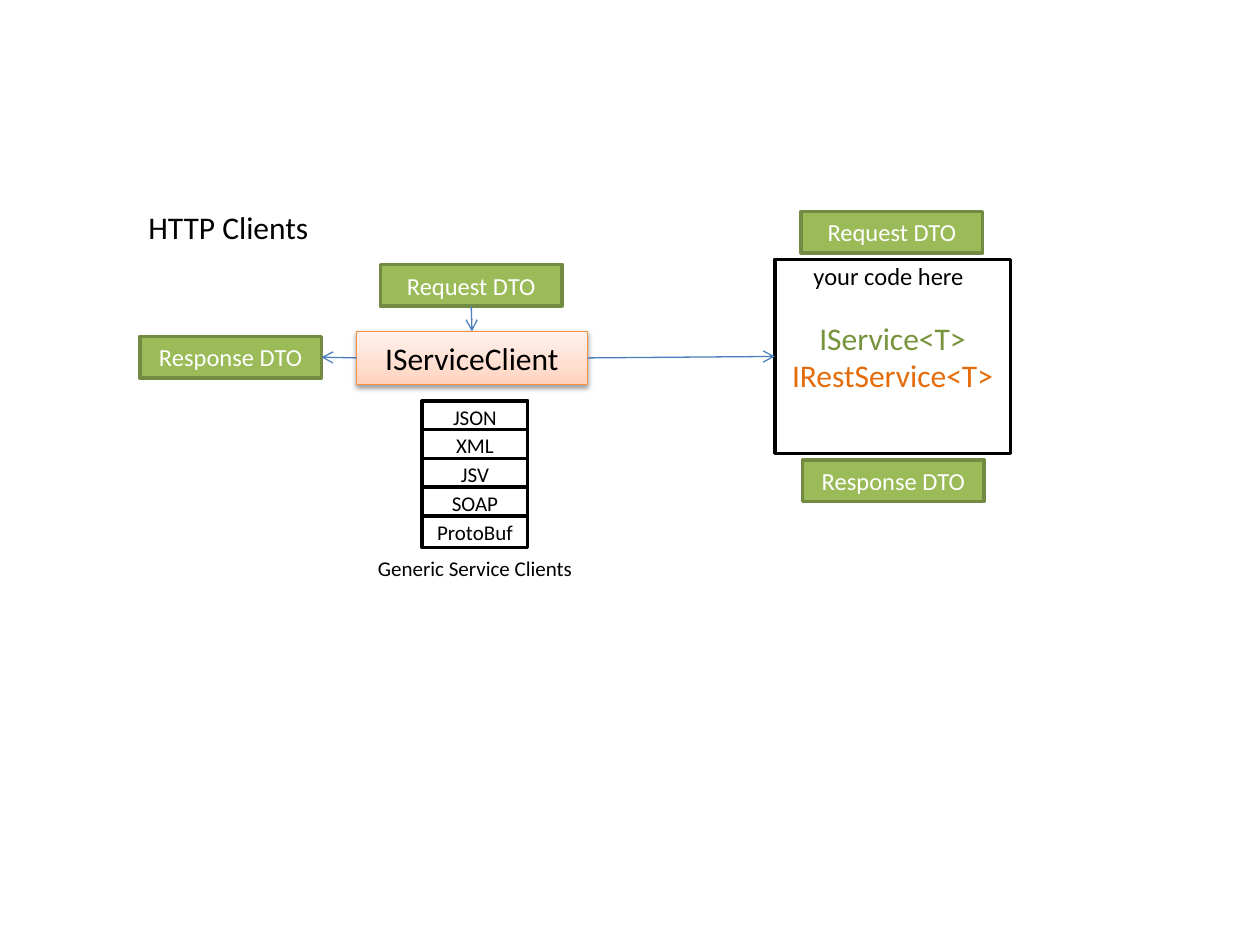
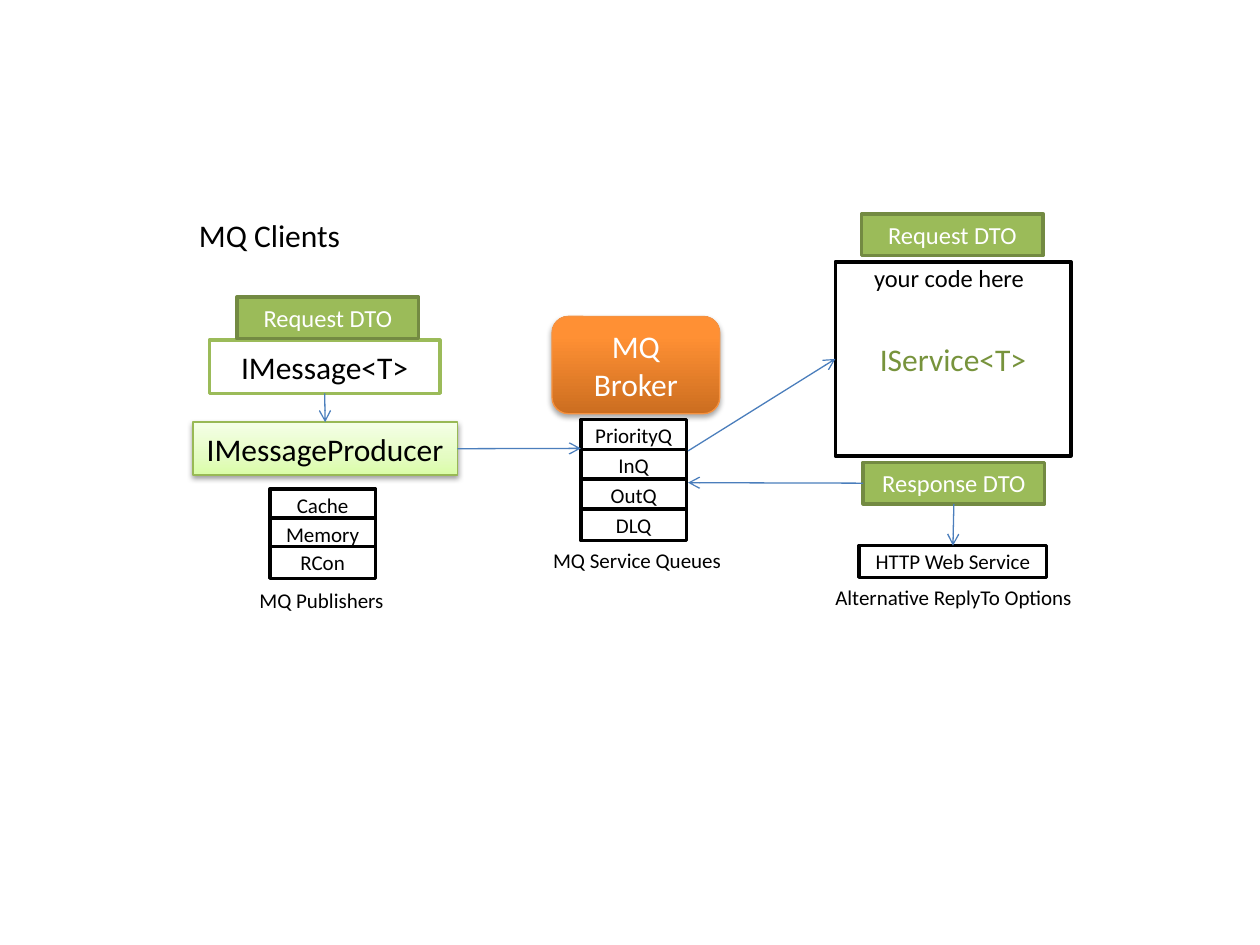
"""Build two diagrams of HTTP and message queue clients calling a service."""
import dataclasses

import lxml.etree
import pptx
import pptx.dml.color
import pptx.enum.shapes
import pptx.enum.text
import pptx.oxml.ns
import pptx.util

Cm = pptx.util.Cm
Pt = pptx.util.Pt
RECTANGLE = pptx.enum.shapes.MSO_SHAPE.RECTANGLE
ROUNDED = pptx.enum.shapes.MSO_SHAPE.ROUNDED_RECTANGLE
TOP, LEFT, BOTTOM, RIGHT = range(4)


@dataclasses.dataclass(frozen=True)
class Theme:
    """Colours, type sizes and line widths of the deck."""
    font: str = "Calibri"
    large: int = 18
    medium: int = 14
    small: int = 12
    thick: float = 2
    thin: float = 0.75
    black: str = "000000"
    white: str = "FFFFFF"
    green: str = "9BBB59"
    dark_green: str = "738A42"
    service_green: str = "77933C"
    rest_orange: str = "E46C0A"
    arrow_blue: str = "4B7EBC"
    orange_edge: str = "F69240"
    lime_edge: str = "98B955"
    peach: tuple = ((0, "FFD2BD"), (35, "FFDED0"), (100, "FFF2ED"))
    lime: tuple = ((0, "DAFDA7"), (35, "E4FCC2"), (100, "F5FFE7"))
    orange: tuple = ((0, "CC6E20"), (80, "FF9034"), (100, "FF9136"))


THEME = Theme()


def rgb(code):
    """Turn a hex code into a colour."""
    return pptx.dml.color.RGBColor.from_string(code)


def add_node(parent, tag, **attributes):
    """Append a drawing element with the given attributes."""
    node = lxml.etree.SubElement(parent, pptx.oxml.ns.qn(tag))
    for name, value in attributes.items():
        node.set(name, str(value))
    return node


def write(box, lines, size, align=None):
    """Write one paragraph for each pair of text and colour."""
    frame = box.text_frame
    for index, (text, colour) in enumerate(lines):
        para = frame.add_paragraph() if index else frame.paragraphs[0]
        para.text = text
        para.alignment = align
        para.font.name = THEME.font
        para.font.size = Pt(size)
        para.font.color.rgb = rgb(colour)


def add_box(page, area, lines, size, fill, edge, width=THEME.thick, kind=RECTANGLE):
    """Add a plain outlined shape with centred text."""
    box = page.shapes.add_shape(kind, *map(Cm, area))
    box.shadow.inherit = False
    box.fill.solid()
    box.fill.fore_color.rgb = rgb(fill)
    box.line.color.rgb = rgb(edge)
    box.line.width = Pt(width)
    box.text_frame.vertical_anchor = pptx.enum.text.MSO_ANCHOR.MIDDLE
    write(box, lines, size, pptx.enum.text.PP_ALIGN.CENTER)
    return box


def add_glossy_box(page, area, text, colour, stops, edge, opacity=38, distance=1.6, kind=RECTANGLE):
    """Add a box with a vertical gradient and a soft shadow."""
    box = add_box(page, area, [(text, colour)], THEME.large, THEME.white, edge, THEME.thin, kind)
    box.fill.gradient()
    box.fill.gradient_angle = 90
    stop_list = box.element.spPr.find(".//" + pptx.oxml.ns.qn("a:gsLst"))
    for old_stop in list(stop_list):
        stop_list.remove(old_stop)
    for position, code in stops:
        stop = add_node(stop_list, "a:gs", pos=position * 1000)
        add_node(stop, "a:srgbClr", val=code)
    effects = box.element.spPr.find(pptx.oxml.ns.qn("a:effectLst"))
    shadow = add_node(effects, "a:outerShdw", blurRad=Pt(3.1), dist=Pt(distance),
                      dir=5400000, rotWithShape=0)
    tint = add_node(shadow, "a:srgbClr", val=THEME.black)
    add_node(tint, "a:alpha", val=opacity * 1000)
    return box


def add_label(page, area, text, size):
    """Add a one-line text that does not wrap."""
    label = page.shapes.add_textbox(*map(Cm, area))
    label.text_frame.word_wrap = False
    label.text_frame.auto_size = pptx.enum.text.MSO_AUTO_SIZE.SHAPE_TO_FIT_TEXT
    write(label, [(text, THEME.black)], size)


def add_dto(page, left, top, text):
    """Add a green data transfer object."""
    return add_box(page, (left, top, 3.66, 0.84), [(text, THEME.white)], THEME.medium,
                   THEME.green, THEME.dark_green)


def add_option(page, left, top, text, width=2.13):
    """Add a small black-edged option box."""
    return add_box(page, (left, top, width, 0.64), [(text, THEME.black)], THEME.small,
                   THEME.white, THEME.black)


def add_stack(page, left, top, names, pitch=0.58):
    """Add a column of options at an equal pitch."""
    for index, name in enumerate(names):
        add_option(page, left, top + index * pitch, name)


def add_service(page, left, top, lines):
    """Add the service with its request and response; return service and response."""
    response = add_dto(page, left + 0.56, top + 4.04, "Response DTO")
    add_dto(page, left + 0.53, top - 0.97, "Request DTO")
    service = add_box(page, (left, top, 4.75, 3.91), lines, THEME.large, THEME.white, THEME.black)
    add_label(page, (left + 0.53, top - 0.1, 3.56, 0.86), "your code here", THEME.medium)
    return service, response


def add_arrow(page, source=None, target=None, begin=(0, 0), end=(0, 0)):
    """Add an arrow, glued at each end that names a shape and its side."""
    arrow = page.shapes.add_connector(pptx.enum.shapes.MSO_CONNECTOR.STRAIGHT,
                                      *map(Cm, begin + end))
    if source:
        arrow.begin_connect(*source)
    if target:
        arrow.end_connect(*target)
    arrow.line.color.rgb = rgb(THEME.arrow_blue)
    arrow.line.width = Pt(THEME.thin)
    add_node(arrow.line._get_or_add_ln(), "a:tailEnd", type="arrow")
    add_node(arrow.element.spPr, "a:effectLst")


def build_http_page(page):
    """Draw the HTTP clients."""
    client = add_glossy_box(page, (7.19, 6.68, 4.65, 1.07), "IServiceClient", THEME.black,
                            THEME.peach, THEME.orange_edge)
    service, _ = add_service(page, 15.62, 5.23, [("IService<T>", THEME.service_green),
                                                 ("IRestService<T>", THEME.rest_orange)])
    request = add_dto(page, 7.67, 5.33, "Request DTO")
    response = add_dto(page, 2.82, 6.78, "Response DTO")
    add_arrow(page, (client, RIGHT), (service, LEFT))
    add_arrow(page, (request, BOTTOM), (client, TOP))
    add_arrow(page, (client, LEFT), (response, RIGHT))
    add_stack(page, 8.51, 8.08, ["JSON", "XML", "JSV", "SOAP", "ProtoBuf"])
    add_label(page, (2.74, 4.06, 3.78, 1.02), "HTTP Clients", THEME.large)
    add_label(page, (7.37, 11.07, 4.47, 0.76), "Generic Service Clients", THEME.small)


def build_queue_page(page):
    """Draw the message queue clients."""
    message = add_box(page, (4.22, 6.86, 4.65, 1.07), [("IMessage<T>", THEME.black)],
                      THEME.large, THEME.white, THEME.green)
    add_label(page, (3.76, 4.24, 3.4, 1.02), "MQ Clients", THEME.large)
    service, response = add_service(page, 16.84, 5.28, [("IService<T>", THEME.service_green)])
    producer = add_glossy_box(page, (3.89, 8.51, 5.33, 1.07), "IMessageProducer", THEME.black,
                              THEME.lime, THEME.lime_edge)
    add_dto(page, 4.78, 5.99, "Request DTO")
    add_glossy_box(page, (11.13, 6.38, 3.38, 1.96), "MQ Broker", THEME.white, THEME.orange,
                   THEME.orange_edge, opacity=35, distance=1.8, kind=ROUNDED)
    add_stack(page, 11.71, 8.46, ["PriorityQ", "InQ", "OutQ", "DLQ"], pitch=0.6)
    web_service = add_option(page, 17.32, 11, "HTTP Web Service", width=3.78)
    add_arrow(page, (message, BOTTOM), (producer, TOP))
    add_arrow(page, (producer, RIGHT), end=(11.71, 9.04))
    add_arrow(page, (response, LEFT), end=(13.87, 9.73))
    add_arrow(page, (response, BOTTOM), (web_service, TOP))
    add_arrow(page, target=(service, LEFT), begin=(13.87, 9.09))
    add_stack(page, 5.44, 9.86, ["Cache", "Memory", "RCon"])
    add_label(page, (4.98, 11.71, 3.05, 0.76), "MQ Publishers", THEME.small)
    add_label(page, (10.9, 10.92, 3.94, 0.76), "MQ Service Queues", THEME.small)
    add_label(page, (16.59, 11.66, 5.33, 0.76), "Alternative ReplyTo Options", THEME.small)


def main():
    """Build and save the deck."""
    deck = pptx.Presentation()
    deck.slide_width, deck.slide_height = Cm(25.4), Cm(19.05)
    for build_page in (build_http_page, build_queue_page):
        build_page(deck.slides.add_slide(deck.slide_layouts[6]))
    deck.save("out.pptx")


main()
